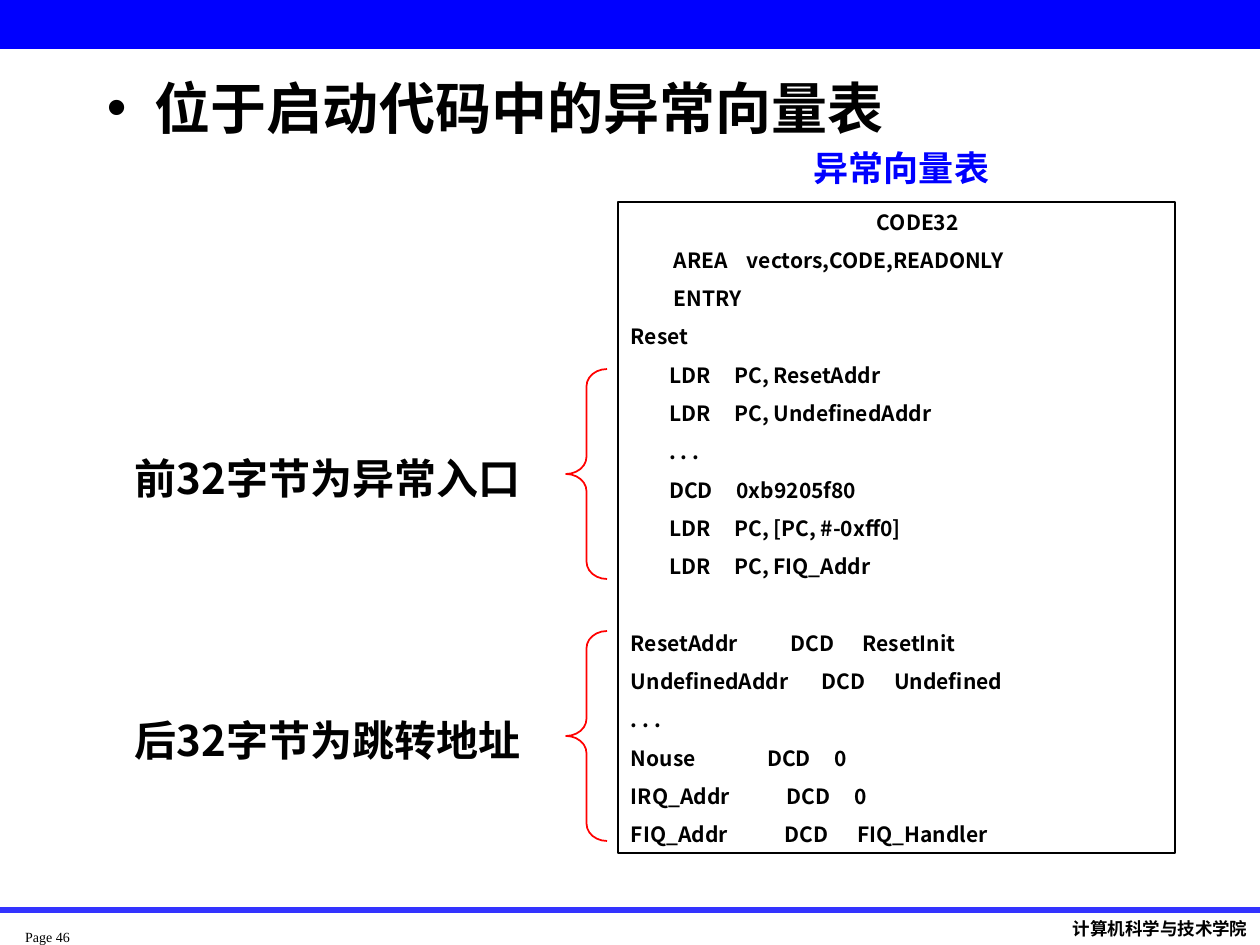
from dataclasses import dataclass

from lxml import etree
from pptx import Presentation
from pptx import util as u
from pptx.dml.color import RGBColor
from pptx.enum import shapes, text
from pptx.oxml.ns import qn

SCALE = 914400 / 126


def px(length):
    return u.Emu(round(length * SCALE))


@dataclass(frozen=True)
class Theme:
    black: str = "000000"
    blue: str = "0000FF"
    rule: str = "3333FF"
    red: str = "FF0000"
    cjk: str = "Noto Sans CJK SC"
    footer_font: str = "Karla"
    page_font: str = "Times New Roman"
    title: int = 32
    label: int = 24
    caption: int = 20
    code: int = 12
    footer: int = 10
    page: int = 8
    leading: float = 1.25
    code_gap: float = 6.9


class SlideBuilder:
    def __init__(self, deck, theme):
        self.theme = theme
        self.page = deck.slides.add_slide(deck.slide_layouts[6])

    def add_span(self, para, words, size, color=None, font=None, bold=True):
        span = para.add_run()
        span.text = words
        span.font.size = u.Pt(size)
        span.font.bold = bold
        span.font.color.rgb = RGBColor.from_string(color or self.theme.black)
        span.font.name = font or self.theme.cjk
        east_asian = etree.SubElement(span.font._element, qn("a:ea"))
        east_asian.set("typeface", self.theme.cjk)
        para.alignment = para.alignment or text.PP_ALIGN.LEFT

    def set_frame(self, box, margins):
        frame = box.text_frame
        frame.word_wrap = True
        frame.auto_size = text.MSO_AUTO_SIZE.NONE
        frame.vertical_anchor = text.MSO_ANCHOR.TOP
        (frame.margin_left, frame.margin_top,
         frame.margin_right, frame.margin_bottom) = map(px, margins)
        return frame

    def text_box(self, area, words, size, margins=(13, 6, 13, 6),
                 centered=False, **style):
        box = self.page.shapes.add_textbox(*map(px, area))
        para = self.set_frame(box, margins).paragraphs[0]
        para.line_spacing = u.Pt(size * self.theme.leading)
        if centered:
            para.alignment = text.PP_ALIGN.CENTER
        self.add_span(para, words, size, **style)
        return para

    def bullet(self, area, words, size, indent):
        para = self.text_box(area, words, size)
        properties = para._p.get_or_add_pPr()
        properties.set("marL", str(px(indent)))
        properties.set("indent", str(-px(indent)))
        etree.SubElement(properties, qn("a:buFont")).set("typeface", "Arial")
        etree.SubElement(properties, qn("a:buChar")).set("char", "•")

    def shape(self, kind, area, fill=None, line=None, weight=1):
        box = self.page.shapes.add_shape(kind, *map(px, area))
        box.shadow.inherit = False
        if fill:
            box.fill.solid()
            box.fill.fore_color.rgb = RGBColor.from_string(fill)
        else:
            box.fill.background()
        if line:
            box.line.color.rgb = RGBColor.from_string(line)
            box.line.width = u.Pt(weight)
        else:
            box.line.fill.background()
        return box

    def brace(self, area):
        brace = self.shape(shapes.MSO_SHAPE.LEFT_BRACE, area, line=self.theme.red)
        brace.adjustments[0] = 0.42
        brace.adjustments[1] = 0.5

    def rule(self, start, end, color, weight):
        line = self.page.shapes.add_connector(
            shapes.MSO_CONNECTOR.STRAIGHT, *map(px, start + end))
        line.line.color.rgb = RGBColor.from_string(color)
        line.line.width = u.Pt(weight)
        etree.SubElement(line._element.spPr, qn("a:effectLst"))

    def code_panel(self, area, blocks):
        """Set code blocks in a frame, leaving one line's height between them."""
        theme = self.theme
        panel = self.shape(shapes.MSO_SHAPE.RECTANGLE, area,
                           line=theme.black, weight=0.75)
        frame = self.set_frame(panel, (13, 6, 13, 6))
        leading = theme.code * theme.leading
        for block_index, block in enumerate(blocks):
            for line_index, words in enumerate(block.strip("\n").split("\n")):
                if block_index or line_index:
                    para = frame.add_paragraph()
                    gap = theme.code_gap
                    if line_index == 0:
                        gap += leading + theme.code_gap
                    para.space_before = u.Pt(gap)
                else:
                    para = frame.paragraphs[0]
                para.line_spacing = u.Pt(leading)
                self.add_span(para, words, theme.code)


ENTRY_CODE = """
         CODE32
         AREA    vectors,CODE,READONLY
         ENTRY
Reset
        LDR     PC, ResetAddr
        LDR     PC, UndefinedAddr
        . . .
        DCD     0xb9205f80
        LDR     PC, [PC, #-0xff0]
        LDR     PC, FIQ_Addr
"""
ADDRESS_CODE = """
ResetAddr           DCD      ResetInit
UndefinedAddr       DCD      Undefined
. . .
Nouse               DCD     0
IRQ_Addr            DCD     0
FIQ_Addr            DCD      FIQ_Handler
"""


def main():
    deck = Presentation()
    deck.slide_width, deck.slide_height = px(1260), px(945)
    theme = Theme()
    slide = SlideBuilder(deck, theme)

    slide.shape(shapes.MSO_SHAPE.RECTANGLE, (0, 0, 1260, 49), fill=theme.blue)
    slide.text_box((25, 929, 79, 16), "Page 46", theme.page, margins=(0, 0, 0, 0),
                   font=theme.page_font, bold=False).line_spacing = 1.0
    slide.text_box((1060, 911, 200, 34), "计算机科学与技术学院", theme.footer,
                   margins=(13, 6, 6, 6), font=theme.footer_font)
    slide.rule((0, 910), (1260, 910), theme.rule, 3)

    slide.bullet((94, 65, 1071, 84), "位于启动代码中的异常向量表", theme.title, 48)
    slide.text_box((723, 139, 357, 55), "异常向量表", theme.caption,
                   centered=True, color=theme.blue)
    slide.code_panel((618, 202, 557, 651), (ENTRY_CODE, ADDRESS_CODE))

    for top, words in ((369, "前32字节为异常入口"), (631, "后32字节为跳转地址")):
        slide.brace((566, top, 41, 210))
        slide.text_box((113, top + 75, 441, 113), words, theme.label,
                       margins=(22, 6, 0, 6))

    deck.save("out.pptx")


if __name__ == "__main__":
    main()
